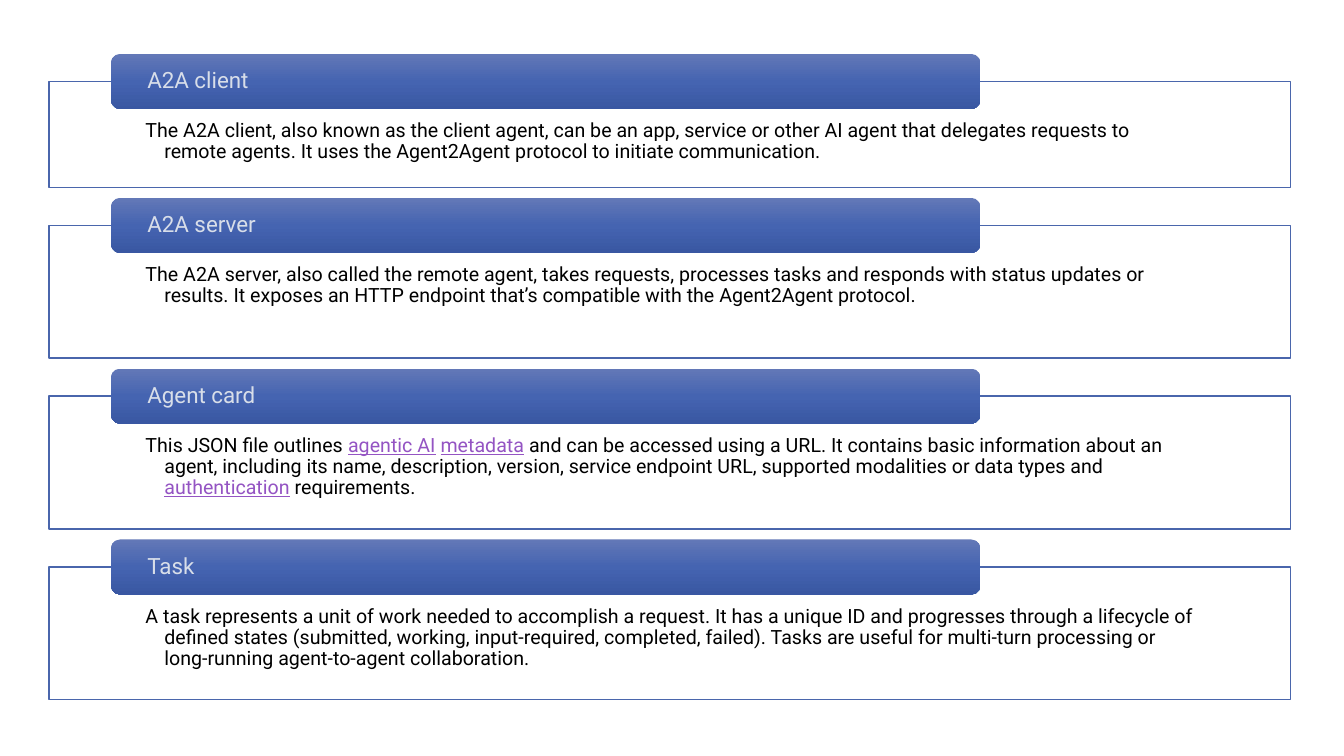
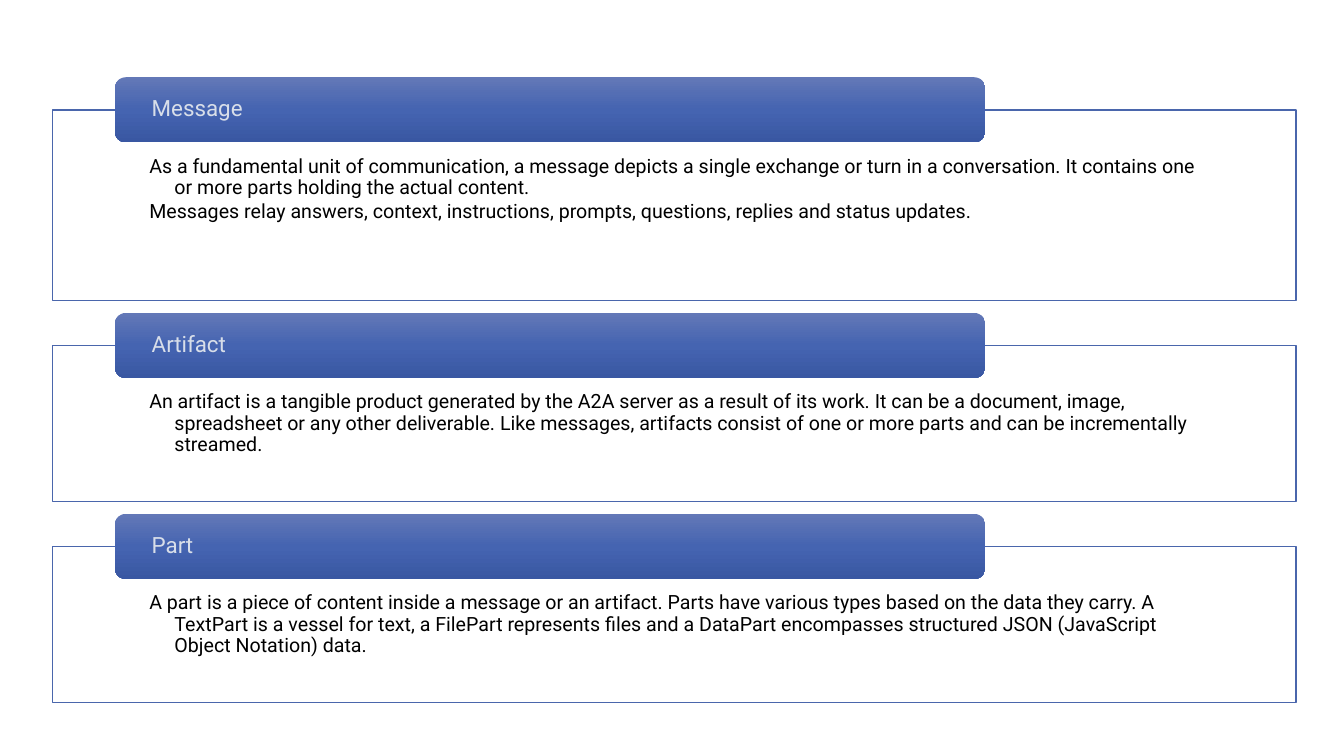
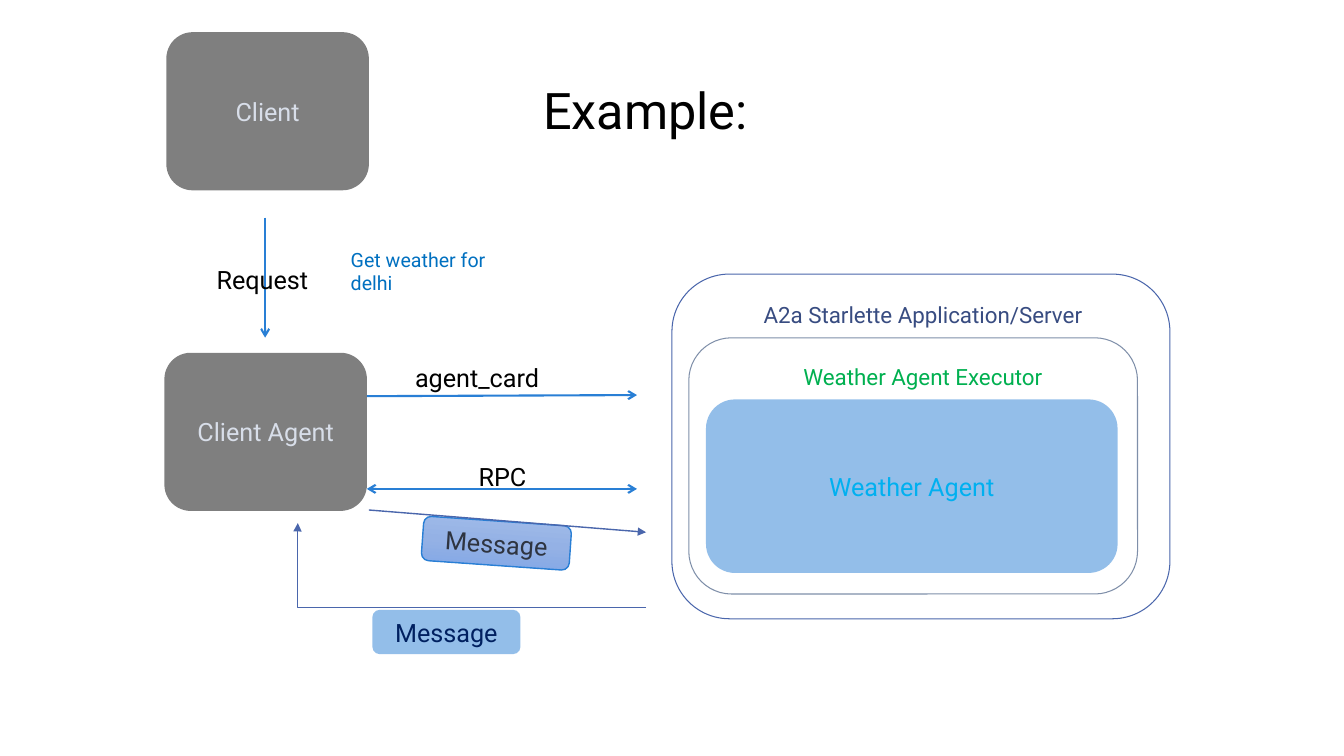
import copy

import pptx
import pptx.dml.color
import pptx.enum.dml
import pptx.enum.shapes
import pptx.enum.text
import pptx.oxml
import pptx.oxml.ns
import pptx.util

Pt = pptx.util.Pt
SHAPE = pptx.enum.shapes.MSO_SHAPE
LINE = pptx.enum.shapes.MSO_CONNECTOR
ALIGN = pptx.enum.text.PP_ALIGN
ANCHOR = pptx.enum.text.MSO_ANCHOR
qn = pptx.oxml.ns.qn

FONT = "Roboto"
PAPER, INK, PALE, SLATE = "FFFFFF", "000000", "D8DEE9", "2E3440"
NAVY, BLUE, LINK = "4A66AC", "297FD5", "9454C3"
HEADER_GRADIENT = ("6378B7", "4564B1", "3957A2")
MESSAGE_GRADIENT = ("A2BCE9", "94B1E5", "80A6E6")


def rgb(color):
    return pptx.dml.color.RGBColor.from_string(color)


def apply(target, **values):
    """Set each named attribute of target."""
    for name, value in values.items():
        setattr(target, name, value)


def sub(parent, tag, **attrs):
    el = parent.makeelement(qn(tag), attrs)
    parent.append(el)
    return el


def paint(sp, fill=None, alpha=None, line=None, width=1):
    """Fill with nothing, one colour or a three-colour gradient; outline if asked."""
    if fill is None:
        sp.fill.background()
    elif isinstance(fill, tuple):
        sp.fill.gradient()
        sp.fill.gradient_angle = 270
        stops = sp._element.spPr.find(".//" + qn("a:gsLst"))
        stops.insert(1, copy.deepcopy(stops[0]))
        for stop, color, position in zip(sp.fill.gradient_stops, fill, (0, 0.5, 1)):
            stop.color.rgb = rgb(color)
            stop.position = position
    else:
        sp.fill.solid()
        sp.fill.fore_color.rgb = rgb(fill)
        if alpha:
            color_el = sp._element.spPr.find(qn("a:solidFill"))[0]
            sub(color_el, "a:alpha", val=str(alpha * 1000))
    if line:
        sp.line.color.rgb = rgb(line)
        sp.line.width = Pt(width)
    else:
        sp.line.fill.background()


def write(sp, paragraphs, size, color, align=ALIGN.LEFT, anchor=ANCHOR.TOP,
          insets=(7.2, 3.6, 7.2, 3.6), spacing=1, hang=0, after=0):
    """Each paragraph is a string or a list of strings and (text, link colour) pairs."""
    tf = sp.text_frame
    left, top, right, bottom = map(Pt, insets)
    apply(tf, word_wrap=True, vertical_anchor=anchor, margin_left=left,
          margin_top=top, margin_right=right, margin_bottom=bottom)
    for i, runs in enumerate(paragraphs):
        p = tf.add_paragraph() if i else tf.paragraphs[0]
        apply(p, alignment=align, line_spacing=spacing, space_after=Pt(after))
        if hang:
            pPr = p._p.get_or_add_pPr()
            pPr.set("marL", str(Pt(hang)))
            pPr.set("indent", str(-Pt(hang)))
        for run in [runs] if isinstance(runs, str) else runs:
            text, link = (run, None) if isinstance(run, str) else run
            r = p.add_run()
            r.text = text
            apply(r.font, name=FONT, size=Pt(size))
            r.font.color.rgb = rgb(link or color)
            if link:
                r.font.underline = True


def add_box(s, box, kind=SHAPE.ROUNDED_RECTANGLE, **look):
    sp = s.shapes.add_shape(kind, *map(Pt, box))
    sp.shadow.inherit = False
    paint(sp, **look)
    return sp


def add_node(s, box, text, color, rotation=0, **look):
    """Rounded box with a centred label."""
    sp = add_box(s, box, **look)
    sp.rotation = rotation
    write(sp, [text], 18, color, ALIGN.CENTER, ANCHOR.MIDDLE)


def add_label(s, box, text, size, color=INK, **layout):
    write(s.shapes.add_textbox(*map(Pt, box)), [text], size, color, **layout)


def add_arrow(s, start, end, color, width, kind=LINE.STRAIGHT, tip="arrow",
              both=False, bend=None):
    c = s.shapes.add_connector(kind, *map(Pt, start + end))
    c.line.color.rgb = rgb(color)
    c.line.width = Pt(width)
    ln = c.line._get_or_add_ln()
    if both:
        sub(ln, "a:headEnd", type=tip)
    sub(ln, "a:tailEnd", type=tip)
    spPr = c._element.spPr
    sub(spPr, "a:effectLst")
    if bend:
        sub(spPr.find(".//" + qn("a:avLst")), "a:gd", name="adj1", fmla=f"val {bend}")


def add_section(s, box, header_height, title, paragraphs, hang):
    """Outlined panel whose header straddles its top edge."""
    left, top, width, height = box
    panel = add_box(s, (left, top + header_height / 2, width, height),
                    SHAPE.RECTANGLE, fill=PAPER, line=NAVY)
    write(panel, paragraphs, 14, INK, spacing=0.9, hang=hang, after=2.1,
          insets=(68.9, header_height * 0.714, 68.9, 9))
    header = add_box(s, (left + width * 0.05, top, width * 0.7, header_height),
                     fill=HEADER_GRADIENT)
    write(header, [title], 16, PALE, anchor=ANCHOR.MIDDLE, spacing=0.9,
          insets=(24, 0, 24, 0))


def new_slide(prs):
    s = prs.slides.add_slide(prs.slide_layouts[6])
    s.background.fill.solid()
    s.background.fill.fore_color.rgb = rgb(PAPER)
    return s


def sections_slide(prs, left, top, width, header_height, gap, hang, sections):
    s = new_slide(prs)
    for title, height, paragraphs in sections:
        add_section(s, (left, top, width, height), header_height, title, paragraphs, hang)
        top += header_height / 2 + height + gap


def add_server(s, box):
    """Application box holding the executor, which holds the agent."""
    x, y, w, h = box
    add_box(s, box, line=NAVY, width=0.75)
    add_box(s, (x + 12, y + 45.5, 320.5, 183), line="7F8FA9", width=0.75)
    for dy, text, color in ((16, "A2a Starlette Application/Server", "384C81"),
                            (60, "Weather Agent Executor", "00B050")):
        add_label(s, (x + 40, y + dy, 278.6, 26.6), text, 16, color, align=ALIGN.CENTER)
    add_node(s, (x + 24.3, y + 89.5, 294, 124), "Weather Agent", "00B0F0",
             fill=BLUE, alpha=50)


def example_slide(prs):
    s = new_slide(prs)
    add_label(s, (380.9, 28.8, 512.6, 104.4), "Example:", 36,
              anchor=ANCHOR.MIDDLE, spacing=0.9)
    for x, y, text in ((118.8, 23, "Client"), (117.4, 252, "Client Agent")):
        add_node(s, (x, y, 144.7, 113), text, PALE, fill=INK, alpha=50)

    add_arrow(s, (189.4, 155.5), (189.4, 241.2), BLUE, 1.5)
    add_label(s, (147.6, 185, 88.6, 28.8), "Request", 18)
    add_label(s, (243.4, 173.5, 118.8, 41), "Get weather for delhi", 14, "0070C0")

    add_arrow(s, (262, 283), (455, 282.2), BLUE, 1.5)
    add_label(s, (289.4, 255.6, 139, 28.8), "agent_card", 18)
    add_arrow(s, (262, 349.2), (455, 349.2), BLUE, 1.5, both=True)
    add_label(s, (289.4, 326.2, 139, 28.8), "RPC", 18, align=ALIGN.CENTER)

    add_server(s, (480, 195.8, 355.7, 246.2))

    add_node(s, (301.7, 372.2, 105.8, 31.7), "Message", SLATE, rotation=4,
             fill=MESSAGE_GRADIENT, line=BLUE)
    add_arrow(s, (263.5, 364.3), (461.5, 380.2), NAVY, 1, tip="triangle")
    add_arrow(s, (461.5, 433.8), (212.8, 373.7), NAVY, 1, LINE.ELBOW,
              tip="triangle", bend=100100)
    add_node(s, (266, 435.6, 105.8, 31.7), "Message", "002060", fill=BLUE, alpha=50)


ROLES = [
    ("A2A client", 75.6, [
        "The A2A client, also known as the client agent, can be an app, service or other "
        "AI agent that delegates requests to remote agents. It uses the Agent2Agent "
        "protocol to initiate communication."]),
    ("A2A server", 94.8, [
        "The A2A server, also called the remote agent, takes requests, processes tasks "
        "and responds with status updates or results. It exposes an HTTP endpoint that’s "
        "compatible with the Agent2Agent protocol."]),
    ("Agent card", 94.8, [[
        "This JSON file outlines ", ("agentic AI", LINK), " ", ("metadata", LINK),
        " and can be accessed using a URL. It contains basic information about an agent, "
        "including its name, description, version, service endpoint URL, supported "
        "modalities or data types and ", ("authentication", LINK), " requirements."]]),
    ("Task", 94.8, [
        "A task represents a unit of work needed to accomplish a request. It has a unique "
        "ID and progresses through a lifecycle of defined states (submitted, working, "
        "input-required, completed, failed). Tasks are useful for multi-turn processing "
        "or long-running agent-to-agent collaboration."]),
]

CONTENT = [
    ("Message", 136.3, [
        "As a fundamental unit of communication, a message depicts a single exchange or "
        "turn in a conversation. It contains one or more parts holding the actual content.",
        "Messages relay answers, context, instructions, prompts, questions, replies and "
        "status updates."]),
    ("Artifact", 111.5, [
        "An artifact is a tangible product generated by the A2A server as a result of its "
        "work. It can be a document, image, spreadsheet or any other deliverable. Like "
        "messages, artifacts consist of one or more parts and can be incrementally "
        "streamed."]),
    ("Part", 111.5, [
        "A part is a piece of content inside a message or an artifact. Parts have various "
        "types based on the data they carry. A TextPart is a vessel for text, a FilePart "
        "represents files and a DataPart encompasses structured JSON (JavaScript Object "
        "Notation) data."]),
]


def main():
    prs = pptx.Presentation()
    apply(prs, slide_width=Pt(960), slide_height=Pt(540))
    sections_slide(prs, left=35, top=38.5, width=887, header_height=39.4,
                   gap=7.5, hang=13.5, sections=ROLES)
    sections_slide(prs, left=37.7, top=55.2, width=888, header_height=46.5,
                   gap=8.8, hang=18, sections=CONTENT)
    example_slide(prs)
    prs.save("out.pptx")


if __name__ == "__main__":
    main()
